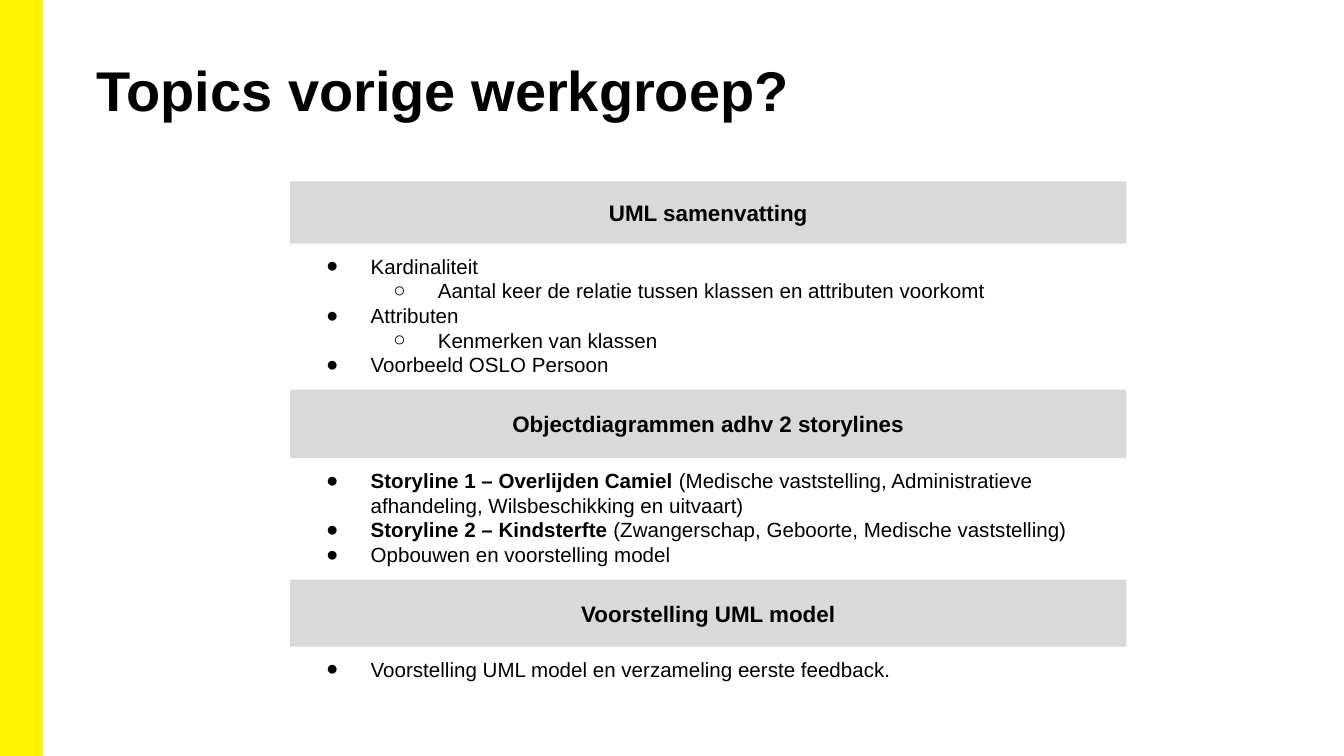
from lxml import etree
from pptx import Presentation
from pptx.dml.color import RGBColor
from pptx.enum.shapes import MSO_SHAPE
from pptx.enum.text import MSO_ANCHOR, MSO_AUTO_SIZE, PP_ALIGN
from pptx.oxml.ns import qn
from pptx.util import Pt

RECT = MSO_SHAPE.RECTANGLE
TOP, MIDDLE = MSO_ANCHOR.TOP, MSO_ANCHOR.MIDDLE
CENTER, LEFT = PP_ALIGN.CENTER, PP_ALIGN.LEFT
GROW = MSO_AUTO_SIZE.SHAPE_TO_FIT_TEXT

# Content
TITLE = "Topics vorige werkgroep?"
# header, top, header height, body height, items of (level, [(text, bold)])
SECTIONS = [
    ("UML samenvatting", 97.2, 33.4, 78.5, [
        (0, [("Kardinaliteit", False)]),
        (1, [("Aantal keer de relatie tussen klassen en attributen voorkomt", False)]),
        (0, [("Attributen", False)]),
        (1, [("Kenmerken van klassen", False)]),
        (0, [("Voorbeeld OSLO Persoon", False)]),
    ]),
    ("Objectdiagrammen adhv 2 storylines", 208.8, 36.7, 64.8, [
        (0, [("Storyline 1 – Overlijden Camiel ", True),
             ("(Medische vaststelling, Administratieve afhandeling, "
              "Wilsbeschikking en uitvaart)", False)]),
        (0, [("Storyline 2 – Kindsterfte", True),
             (" (Zwangerschap, Geboorte, Medische vaststelling)", False)]),
        (0, [("Opbouwen en voorstelling model", False)]),
    ]),
    ("Voorstelling UML model", 310.5, 36, 25.2, [
        (0, [("Voorstelling UML model en verzameling eerste feedback.", False)]),
    ]),
]

# Layout and style
COLORS = {"bar": "FFF200", "header": "D9D9D9", "text": "000000"}
SECTION_LEFT, SECTION_WIDTH = 155.5, 448
BODY_GAP = 1
BULLETS = "●○"
INDENT, HANGING = 36, 23.8


def rgb(name):
    return RGBColor.from_string(COLORS[name])


def add_box(s, x, y, w, h, fill):
    sp = s.shapes.add_shape(RECT, Pt(x), Pt(y), Pt(w), Pt(h))
    sp.shadow.inherit = False
    sp.fill.solid()
    sp.fill.fore_color.rgb = rgb(fill)
    sp.line.fill.background()
    return sp


def set_frame(sp, insets, anchor=TOP):
    tf = sp.text_frame
    frame = {"word_wrap": True, "vertical_anchor": anchor}
    sides = ("margin_left", "margin_top", "margin_right", "margin_bottom")
    frame.update(zip(sides, map(Pt, insets)))
    for name, value in frame.items():
        setattr(tf, name, value)
    return tf


def add_run(p, text, size, bold):
    r = p.add_run()
    r.text = text
    font = {"name": "Arial", "size": Pt(size), "bold": bold}
    for name, value in font.items():
        setattr(r.font, name, value)
    r.font.color.rgb = rgb("text")


def add_line(tf, text, size, align):
    p = tf.paragraphs[0]
    p.alignment = align
    add_run(p, text, size, True)


def set_bullet(p, level):
    p.level = level
    pPr = p._p.get_or_add_pPr()
    pPr.set("marL", str(Pt(INDENT * (level + 1))))
    pPr.set("indent", str(-Pt(HANGING)))
    color = etree.SubElement(pPr, qn("a:buClr"))
    etree.SubElement(color, qn("a:srgbClr"), val=COLORS["text"])
    etree.SubElement(pPr, qn("a:buFont"), typeface="Arial")
    etree.SubElement(pPr, qn("a:buChar"), char=BULLETS[level])


prs = Presentation()
prs.slide_width, prs.slide_height = Pt(720), Pt(405)
s = prs.slides.add_slide(prs.slide_layouts[6])

# Side bar
bar = add_box(s, 0, 0, 22.5, 405, "bar")
bar.line.color.rgb = rgb("bar")
bar.line.width = Pt(1)

# Title
title = s.shapes.add_textbox(Pt(46.8), Pt(26.8), Pt(625.7), Pt(58.3))
add_line(set_frame(title, (5, 2.7, 5, 2.7)), TITLE, 30, LEFT)

# Sections: grey header with a bulleted body below
for header, top, header_h, body_h, items in SECTIONS:
    sp = add_box(s, SECTION_LEFT, top, SECTION_WIDTH, header_h, "header")
    add_line(set_frame(sp, (0, 0, 0, 0), MIDDLE), header, 12, CENTER)

    body = s.shapes.add_textbox(Pt(SECTION_LEFT), Pt(top + header_h + BODY_GAP),
                                Pt(SECTION_WIDTH), Pt(body_h))
    tf = set_frame(body, (7.2, 4.2, 7.2, 7.2))
    tf.auto_size = GROW
    for i, (level, runs) in enumerate(items):
        p = tf.add_paragraph() if i else tf.paragraphs[0]
        set_bullet(p, level)
        for text, bold in runs:
            add_run(p, text, 11, bold)

prs.save("out.pptx")
